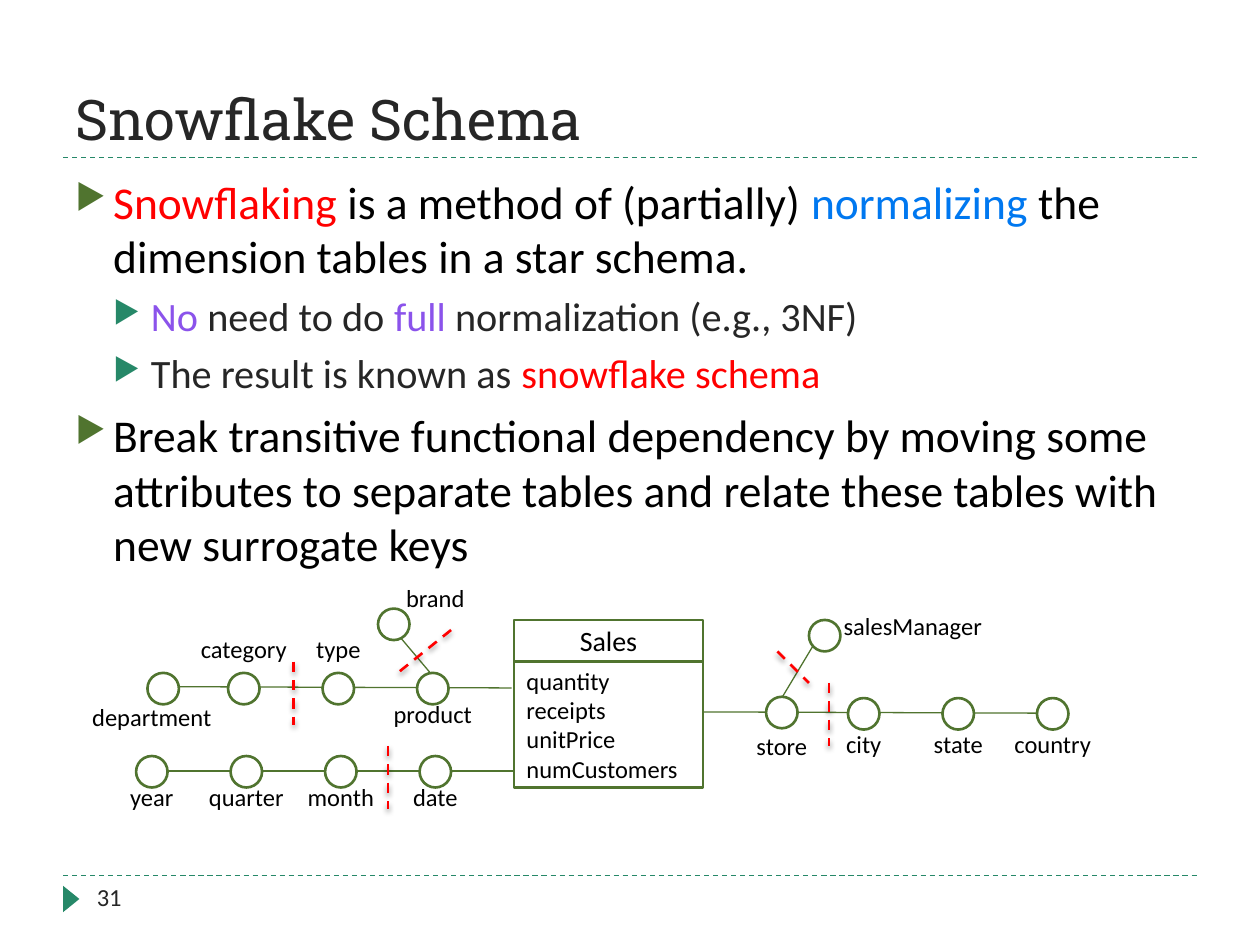
from dataclasses import dataclass

from lxml.etree import SubElement
from pptx import Presentation
from pptx.dml.color import RGBColor
from pptx.enum.dml import MSO_LINE_DASH_STYLE as Dash
from pptx.enum.shapes import MSO_CONNECTOR as Connector, MSO_SHAPE as Shape
from pptx.enum.text import MSO_ANCHOR as Anchor, PP_ALIGN as Align
from pptx.oxml.ns import qn
from pptx.util import Inches, Pt


@dataclass(frozen=True)
class Theme:
    heading_font: str = "Roboto Slab"
    body_font: str = "Calibri"
    teal: str = "268868"
    green: str = "50742F"
    red: str = "FF0000"
    blue: str = "0078F0"
    purple: str = "8B53EB"
    dark: str = "262626"
    black: str = "000000"
    white: str = "FFFFFF"
    title_size: int = 32
    point_size: int = 26
    subpoint_size: int = 23
    table_size: int = 16
    label_size: int = 14


@dataclass(frozen=True)
class Point:
    level: int
    runs: tuple[tuple[str, str], ...]


@dataclass(frozen=True)
class Attribute:
    name: str
    left: float
    top: float
    label_top: float
    label_shift: float = 0
    label_width: float = 0.92


@dataclass(frozen=True)
class Line:
    x1: float
    y1: float
    x2: float
    y2: float


THEME = Theme()
NODE = 0.25
STEP = 0.75

POINTS = (
    Point(0, (("Snowflaking ", THEME.red),
              ("is a method of (partially) ", THEME.black),
              ("normalizing", THEME.blue),
              (" the dimension tables in a star schema.", THEME.black))),
    Point(1, (("No", THEME.purple), (" need to do ", THEME.dark),
              ("full", THEME.purple),
              (" normalization (e.g., 3NF)", THEME.dark))),
    Point(1, (("The result is known as ", THEME.dark),
              ("snowflake schema", THEME.red))),
    Point(0, (("Break transitive functional dependency by moving some "
               "attributes to separate tables and relate these tables with "
               "new surrogate keys", THEME.black),)),
)


def chain(names: tuple[str, ...], left: float, top: float,
          label_top: float) -> list[Attribute]:
    return [Attribute(name, left + i * STEP, top, label_top)
            for i, name in enumerate(names)]


ATTRIBUTES = [
    *chain(("year", "quarter", "month", "date"), 1.08, 6, 6.16),
    *chain(("category", "type"), 1.81, 5.34, 4.98),
    Attribute("product", 3.31, 5.34, 5.5),
    Attribute("department", 1.17, 5.34, 5.52, -0.09, 1.25),
    Attribute("brand", 3, 4.83, 4.58, 0.33, 0.75),
    Attribute("store", 6.08, 5.53, 5.75),
    *chain(("city", "state", "country"), 6.73, 5.54, 5.74),
    Attribute("salesManager", 6.42, 4.92, 4.8, 0.7, 1.5),
]

HIERARCHIES = (
    Line(5.58, 5.65, 8.23, 5.66),
    Line(1.33, 6.12, 4.08, 6.12),
    Line(1.42, 5.45, 4.06, 5.46),
    Line(3.17, 5.05, 3.44, 5.37),
    Line(6.45, 5.13, 6.21, 5.53),
)

SPLITS = (
    Line(3.08, 5.92, 3.08, 6.42),
    Line(2.33, 5.25, 2.33, 5.75),
    Line(3.58, 5, 3.17, 5.33),
    Line(6.58, 5.42, 6.58, 5.92),
    Line(6.17, 5.17, 6.42, 5.42),
)


def rgb(color: str) -> RGBColor:
    return RGBColor.from_string(color)


def draw_line(slide, line: Line, color: str, width: float,
              dashed: bool = False, shadow: bool = False) -> None:
    connector = slide.shapes.add_connector(
        Connector.STRAIGHT, Inches(line.x1), Inches(line.y1),
        Inches(line.x2), Inches(line.y2))
    connector.line.color.rgb = rgb(color)
    connector.line.width = Pt(width)
    if dashed:
        connector.line.dash_style = Dash.DASH
    effects = SubElement(connector._element.spPr, qn("a:effectLst"))
    if shadow:
        outer = SubElement(effects, qn("a:outerShdw"), blurRad=str(Pt(3)),
                           dist=str(Pt(2)), dir="5400000", rotWithShape="0")
        tint = SubElement(outer, qn("a:srgbClr"), val=THEME.black)
        SubElement(tint, qn("a:alpha"), val="40000")


def draw_shape(slide, kind: Shape, left: float, top: float, width: float,
               height: float, fill: str, outline: str | None = None):
    shape = slide.shapes.add_shape(
        kind, Inches(left), Inches(top), Inches(width), Inches(height))
    shape.shadow.inherit = False
    shape.fill.solid()
    shape.fill.fore_color.rgb = rgb(fill)
    if outline:
        shape.line.color.rgb = rgb(outline)
        shape.line.width = Pt(1.5)
    else:
        shape.line.fill.background()
    return shape


def write(shape, lines: tuple[str, ...], size: int, color: str = THEME.black,
          font: str = THEME.body_font, align: Align = Align.LEFT,
          anchor: Anchor = Anchor.TOP) -> None:
    frame = shape.text_frame
    frame.word_wrap = True
    frame.vertical_anchor = anchor
    frame.text = "\n".join(lines)
    for paragraph in frame.paragraphs:
        paragraph.alignment = align
        paragraph.font.name = font
        paragraph.font.size = Pt(size)
        paragraph.font.color.rgb = rgb(color)


def add_box(slide, left: float, top: float, width: float, height: float):
    return slide.shapes.add_textbox(
        Inches(left), Inches(top), Inches(width), Inches(height))


def write_points(slide, points: tuple[Point, ...]) -> None:
    frame = add_box(slide, 0.5, 1.33, 9, 3.17).text_frame
    frame.word_wrap = True
    for i, point in enumerate(points):
        paragraph = frame.add_paragraph() if i else frame.paragraphs[0]
        paragraph.level = point.level
        properties = paragraph._p.get_or_add_pPr()
        properties.set("marL", str(Inches(0.3 * (point.level + 1))))
        properties.set("indent", str(Inches(-0.3)))
        if i:
            paragraph.space_before = Pt(6 - point.level)
        bullet = SubElement(properties, qn("a:buClr"))
        SubElement(bullet, qn("a:srgbClr"),
                   val=THEME.teal if point.level else THEME.green)
        SubElement(properties, qn("a:buSzPct"), val="76000")
        SubElement(properties, qn("a:buChar"), char="▶")
        paragraph.font.name = THEME.body_font
        paragraph.font.size = Pt(
            THEME.subpoint_size if point.level else THEME.point_size)
        for words, color in point.runs:
            run = paragraph.add_run()
            run.text = words
            run.font.color.rgb = rgb(color)


def draw_attribute(slide, attribute: Attribute) -> None:
    draw_shape(slide, Shape.OVAL, attribute.left, attribute.top, NODE, NODE,
               THEME.white, THEME.green)
    label_left = (attribute.left + NODE / 2 + attribute.label_shift
                  - attribute.label_width / 2)
    label = add_box(slide, label_left, attribute.label_top,
                    attribute.label_width, 0.34)
    write(label, (attribute.name,), THEME.label_size, align=Align.CENTER)


def main() -> None:
    deck = Presentation()
    deck.slide_width, deck.slide_height = Inches(10), Inches(7.5)
    slide = deck.slides.add_slide(deck.slide_layouts[6])

    for y in (6.95, 1.25):
        draw_line(slide, Line(0.5, y, 9.5, y), THEME.teal, 0.75, dashed=True)
    marker = draw_shape(slide, Shape.ISOSCELES_TRIANGLE, 0.46, 7.07, 0.21,
                        0.13, THEME.teal)
    marker.rotation = 90
    write(add_box(slide, 0.5, 0.17, 9, 1.08), ("Snowflake Schema",),
          THEME.title_size, THEME.dark, THEME.heading_font,
          anchor=Anchor.BOTTOM)
    write(add_box(slide, 0.67, 6.95, 2.17, 0.4), ("31",), THEME.label_size,
          THEME.dark)
    write_points(slide, POINTS)

    for hierarchy in HIERARCHIES:
        draw_line(slide, hierarchy, THEME.green, 0.75)
    fact = draw_shape(slide, Shape.RECTANGLE, 4.08, 4.92, 1.5, 0.33,
                      THEME.white, THEME.green)
    write(fact, ("Sales",), THEME.table_size, align=Align.CENTER,
          anchor=Anchor.MIDDLE)
    measures = draw_shape(slide, Shape.RECTANGLE, 4.08, 5.25, 1.5, 1,
                          THEME.white, THEME.green)
    write(measures, ("quantity", "receipts", "unitPrice", "numCustomers"),
          THEME.label_size, anchor=Anchor.MIDDLE)
    for attribute in ATTRIBUTES:
        draw_attribute(slide, attribute)
    for split in SPLITS:
        draw_line(slide, split, THEME.red, 1.5, dashed=True, shadow=True)

    deck.save("out.pptx")


if __name__ == "__main__":
    main()
